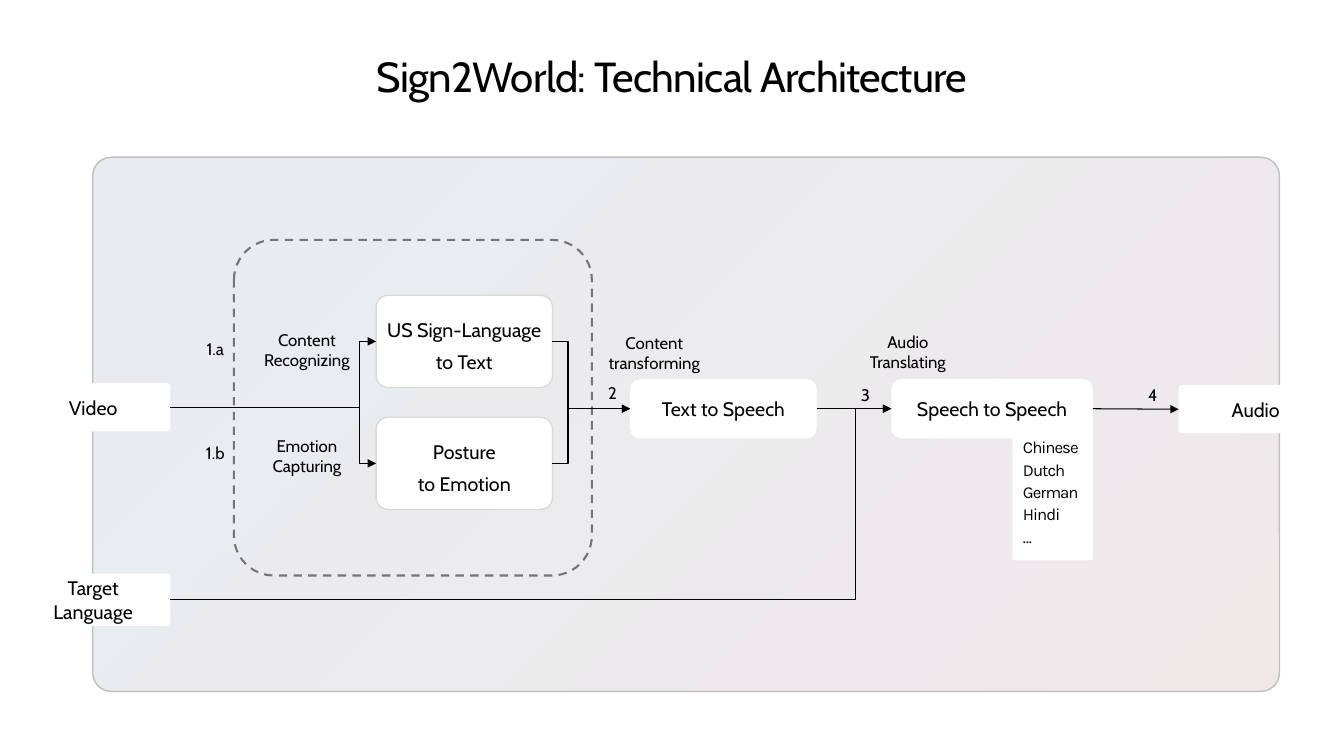
from collections import namedtuple

import lxml.etree
import pptx
import pptx.dml.color
import pptx.enum.dml
import pptx.enum.shapes
import pptx.enum.text
import pptx.oxml
import pptx.oxml.ns
import pptx.util

RGBColor = pptx.dml.color.RGBColor
MSO_SHAPE = pptx.enum.shapes.MSO_SHAPE
MSO_CONNECTOR = pptx.enum.shapes.MSO_CONNECTOR
MSO_ANCHOR = pptx.enum.text.MSO_ANCHOR
PP_ALIGN = pptx.enum.text.PP_ALIGN
Pt = pptx.util.Pt
qn = pptx.oxml.ns.qn

BLACK = RGBColor(0x00, 0x00, 0x00)
WHITE = RGBColor(0xFF, 0xFF, 0xFF)
PANEL_EDGE = RGBColor(0xBF, 0xBF, 0xBF)
CARD_EDGE = RGBColor(0xD9, 0xD9, 0xD6)
GLOW_RED = RGBColor(0x73, 0x26, 0x2F)
GLOW_BLUE = RGBColor(0x2A, 0x44, 0x6F)

SLIDE_WIDTH = pptx.util.Inches(13.33)
SLIDE_HEIGHT = pptx.util.Inches(7.5)
CELL = SLIDE_HEIGHT // 75  # the slide is a grid of 75 rows of square cells
LEFT, RIGHT = 1, 3  # connection sites of a rectangle

Box = namedtuple("Box", "left top width height")


def inside(region, left, top, width, height):
    """Box given in grid cells from the region's top left corner."""
    return Box(region.left + left, region.top + top, width, height)


def emu(box):
    return [round(cells * CELL) for cells in box]


def write(frame, text, size=12, font="Cabin", align=PP_ALIGN.CENTER,
          anchor=MSO_ANCHOR.TOP, insets=(0, 0, 0, 0), after=0,
          line_height=None, tracking=0):
    """Fill a text frame, one paragraph a line; insets are in grid cells."""
    frame.word_wrap = True
    frame.auto_size = pptx.enum.text.MSO_AUTO_SIZE.NONE
    frame.vertical_anchor = anchor
    (frame.margin_left, frame.margin_top,
     frame.margin_right, frame.margin_bottom) = emu(insets)
    for index, line in enumerate(text.split("\n")):
        paragraph = frame.add_paragraph() if index else frame.paragraphs[0]
        paragraph.alignment = align
        paragraph.space_after = Pt(after)
        if line_height:
            paragraph.line_spacing = Pt(line_height)
        run = paragraph.add_run()
        run.text = line
        run.font.name = font
        run.font.size = Pt(size)
        run.font.color.rgb = BLACK
        if tracking:
            run.font._element.set("spc", str(round(tracking * 100)))


def rounded(slide, box, corner, fill=None, edge=None, weight=1):
    shape = slide.shapes.add_shape(MSO_SHAPE.ROUNDED_RECTANGLE, *emu(box))
    shape.adjustments[0] = corner
    shape.shadow.inherit = False
    if fill is None:
        shape.fill.background()
    else:
        shape.fill.solid()
        shape.fill.fore_color.rgb = fill
    if edge is None:
        shape.line.fill.background()
    else:
        shape.line.color.rgb = edge
        shape.line.width = Pt(weight)
    return shape


def card(slide, box, text, corner, edge=None, **text_format):
    shape = rounded(slide, box, corner, WHITE, edge)
    settings = dict(size=14, after=6, anchor=MSO_ANCHOR.MIDDLE, insets=(1, 1, 1, 1))
    write(shape.text_frame, text, **{**settings, **text_format})
    return shape


def label(slide, box, text, insets=(1, 0.5, 1, 0.5)):
    write(slide.shapes.add_textbox(*emu(box)).text_frame, text, insets=insets)


def step(slide, region, left, top, number):
    label(slide, inside(region, left, top, 3.1, 2), number, insets=(0, 0, 0, 0))


def arrow(slide, source, target, bend=None):
    """Join right side to left side; bend is the share of the way to the turn."""
    kind = MSO_CONNECTOR.STRAIGHT if bend is None else MSO_CONNECTOR.ELBOW
    connector = slide.shapes.add_connector(kind, 0, 0, 0, 0)
    connector.begin_connect(source, RIGHT)
    connector.end_connect(target, LEFT)
    connector.line.color.rgb = BLACK
    connector.line.width = Pt(0.75)
    properties = connector.element.spPr
    lxml.etree.SubElement(properties.find(qn("a:ln")), qn("a:tailEnd"), type="triangle")
    lxml.etree.SubElement(properties, qn("a:effectLst"))
    if bend is not None:
        guides = properties.find(qn("a:prstGeom")).find(qn("a:avLst"))
        lxml.etree.SubElement(guides, qn("a:gd"), name="adj1",
                              fmla=f"val {round(bend * 100000)}")


def add_title(slide, box):
    title = slide.shapes.title
    title.left, title.top, title.width, title.height = emu(box)
    write(title.text_frame, "Sign2World: Technical Architecture", size=30,
          anchor=MSO_ANCHOR.MIDDLE, tracking=-0.5)


def add_panel(slide, box):
    panel = rounded(slide, box, 0.035, edge=PANEL_EDGE)
    stops = "".join(
        f'<a:gs pos="{place}"><a:srgbClr val="{color}"><a:alpha val="10000"/>'
        f'</a:srgbClr></a:gs>'
        for place, color in ((0, GLOW_RED), (80000, GLOW_BLUE)))
    glow = pptx.oxml.parse_xml(
        f'<a:gradFill {pptx.oxml.ns.nsdecls("a")} rotWithShape="1">'
        f'<a:gsLst>{stops}</a:gsLst><a:path path="circle">'
        '<a:fillToRect l="100000" t="100000"/></a:path></a:gradFill>')
    properties = panel.element.spPr
    properties.replace(properties.find(qn("a:noFill")), glow)


def add_inputs(slide, box):
    video = card(slide, inside(box, 0, 0, box.width, 4.8), "Video", 0.086)
    language = card(slide, inside(box, 0, 18.9, box.width, 5.2), "Target Language", 0.086)
    return video, language


def add_recognition(slide, box):
    frame = rounded(slide, box, 0.119, edge=BLACK, weight=1.5)
    frame.line.dash_style = pptx.enum.dml.MSO_LINE.DASH
    ink = next(frame.element.spPr.find(qn("a:ln")).iter(qn("a:srgbClr")))
    lxml.etree.SubElement(ink, qn("a:alpha"), val="50000")
    branches = (
        (5.5, "US Sign-Language\nto Text", 8.4, "Content\nRecognizing", 9.8, "1.a"),
        (17.6, "Posture\nto Emotion", 18.9, "Emotion\nCapturing", 20.1, "1.b"),
    )
    cards = []
    for card_top, name, task_top, task, step_top, number in branches:
        cards.append(card(slide, inside(box, 14.1, card_top, 17.5, 9.15), name, 0.131,
                          CARD_EDGE, anchor=MSO_ANCHOR.BOTTOM, insets=(0, 0, 0, 1)))
        label(slide, inside(box, -3.1, task_top, 20.7, 5), task)
        step(slide, box, -3.4, step_top, number)
    return cards


def add_speech(slide, box):
    text_to_speech = card(slide, inside(box, 0, 0, 18.5, box.height),
                          "Text to Speech", 0.167)
    speech_to_speech = card(slide, inside(box, 25.9, 0, 20, box.height),
                            "Speech to Speech", 0.167)
    card(slide, inside(box, 37.9, 5, 8, 13), "Chinese\nDutch\nGerman\nHindi\n…", 0.034,
         size=12, font="Karla", align=PP_ALIGN.LEFT, line_height=10, tracking=-0.7)
    label(slide, inside(box, -4.8, -5.1, 14.4, 5), "Content transforming")
    label(slide, inside(box, 17.2, -5.2, 20.7, 5), "Audio\nTranslating")
    for left, top, number in ((-3.3, 0.4, "2"), (21.8, 0.6, "3"), (50.3, 0.6, "4")):
        step(slide, box, left, top, number)
    return text_to_speech, speech_to_speech


def build_architecture(slide):
    add_title(slide, Box(6.4, 5, 120.5, 5))
    add_panel(slide, Box(9.2, 15.6, 117.7, 53))
    video, language = add_inputs(slide, Box(1.6, 38, 15.3, 24.1))
    recognizers = add_recognition(slide, Box(23.2, 23.8, 35.5, 33.3))
    text_to_speech, speech_to_speech = add_speech(slide, Box(62.5, 37.6, 45.9, 5.9))
    audio = card(slide, Box(116.9, 38.2, 15.3, 4.8), "Audio", 0.086)
    for recognizer in recognizers:
        arrow(slide, video, recognizer, bend=0.92)
        arrow(slide, recognizer, text_to_speech, bend=0.2)
    arrow(slide, text_to_speech, speech_to_speech)
    arrow(slide, language, speech_to_speech, bend=0.95)
    arrow(slide, speech_to_speech, audio)


def main():
    deck = pptx.Presentation()
    deck.slide_width, deck.slide_height = SLIDE_WIDTH, SLIDE_HEIGHT
    title_only = deck.slide_layouts[5]
    build_architecture(deck.slides.add_slide(title_only))
    deck.save("out.pptx")


if __name__ == "__main__":
    main()
